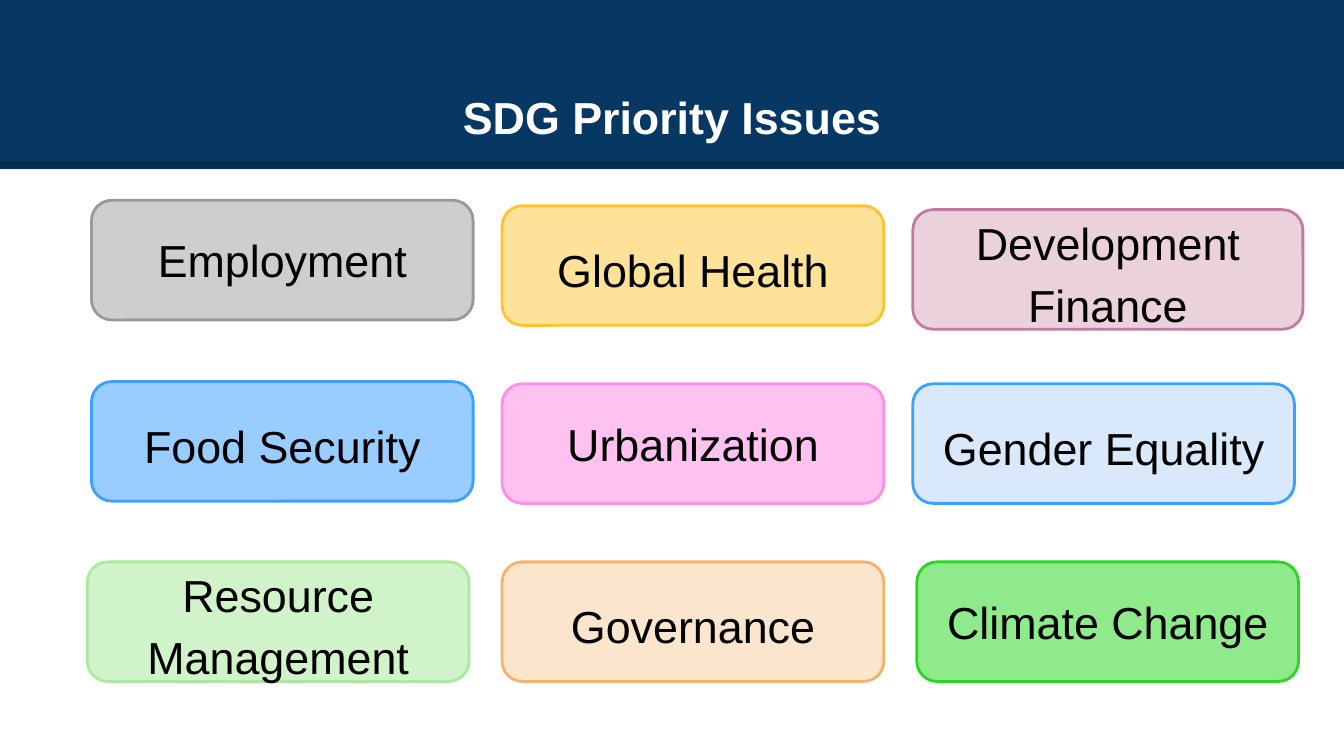
from pptx import Presentation
from pptx.dml.color import RGBColor
from pptx.enum.shapes import MSO_CONNECTOR, MSO_SHAPE
from pptx.enum.text import MSO_ANCHOR, MSO_AUTO_SIZE, PP_ALIGN
from pptx.oxml.ns import qn
from pptx.util import Pt
from lxml import etree

RECTANGLE = MSO_SHAPE.RECTANGLE
ROUNDED = MSO_SHAPE.ROUNDED_RECTANGLE
STRAIGHT = MSO_CONNECTOR.STRAIGHT
MIDDLE, BOTTOM = MSO_ANCHOR.MIDDLE, MSO_ANCHOR.BOTTOM
CENTER = PP_ALIGN.CENTER
NO_AUTOFIT = MSO_AUTO_SIZE.NONE
TITLE_ONLY = 5

WIDTH, HEIGHT = 720, 405
COLORS = {
    "navy": "073763", "white": "FFFFFF", "black": "000000",
    "gray": "999999", "yellow": "FFC32D", "mauve": "C27BA0",
    "pale mauve": "EAD1DC", "blue": "3CA0FF", "pale blue": "BBD7F8",
    "pink": "FF8FE4", "mint": "ABEA9E", "orange": "F6B26B",
    "pale orange": "FCE5CD", "green": "29D722",
}

GRID_LEFT, GRID_TOP = 49, 110.2
COLUMN_STEP, ROW_STEP = 220, 95.4
TILE_WIDTH, TILE_HEIGHT = 204.5, 64.1

# Each row of tiles: label, fill, fill opacity in percent, outline,
# line spacing, shift from the grid (x, y), extra width
ISSUES = [
    [
        ("Employment", "gray", 48, "gray", 1, (0, -2.9), 0),
        ("Global Health", "yellow", 48, "yellow", 1.15, (0, 0), 0),
        ("Development Finance", "pale mauve", 100, "mauve", 1.15, (0, 2.1), 4.5),
    ],
    [
        ("Food Security", "blue", 52, "blue", 1.15, (0, -1.2), 0),
        ("Urbanization", "pink", 55, "pink", 1, (0, 0), 0),
        ("Gender Equality", "pale blue", 55, "blue", 1.15, (0, 0), 0),
    ],
    [
        ("Resource Management", "mint", 55, "mint", 1.15, (-2.2, 0), 0),
        ("Governance", "pale orange", 100, "orange", 1.15, (0, 0), 0),
        ("Climate Change", "green", 52, "green", 1, (2.2, 0), 0),
    ],
]


def rgb(name):
    return RGBColor.from_string(COLORS[name])


def set_opacity(shape, percent):
    """Make the first solid colour of the shape, fill or line, see-through."""
    color = next(shape.element.spPr.iter(qn("a:srgbClr")))
    etree.SubElement(color, qn("a:alpha")).set("val", str(percent * 1000))


class SlideBuilder:
    font = "Arial"
    size = 24
    inset = 7.2
    outline = 1.5

    def __init__(self, page):
        self.page = page

    def add_text(self, shape, text, color, anchor, bold=False, spacing=1):
        frame = shape.text_frame
        frame.word_wrap = True
        frame.auto_size = NO_AUTOFIT
        frame.vertical_anchor = anchor
        frame.margin_left = frame.margin_right = Pt(self.inset)
        frame.margin_top = frame.margin_bottom = Pt(self.inset)
        para = frame.paragraphs[0]
        para.alignment = CENTER
        para.line_spacing = spacing
        para.space_before = Pt(0)
        span = para.add_run()
        span.text = text
        span.font.name = self.font
        span.font.size = Pt(self.size)
        span.font.bold = bold
        span.font.color.rgb = rgb(color)

    def title(self, text, left, top, width, height):
        box = self.page.shapes.title
        box.left, box.top = Pt(left), Pt(top)
        box.width, box.height = Pt(width), Pt(height)
        self.add_text(box, text, "white", BOTTOM, bold=True)

    def box(self, kind, left, top, width, height, fill):
        box = self.page.shapes.add_shape(
            kind, Pt(left), Pt(top), Pt(width), Pt(height))
        box.shadow.inherit = False
        box.fill.solid()
        box.fill.fore_color.rgb = rgb(fill)
        return box

    def header(self, height, edge):
        """Draw the band and its darker edge behind the title."""
        band = self.box(RECTANGLE, 0, 0, WIDTH, height, "navy")
        band.line.fill.background()
        rule = self.page.shapes.add_connector(
            STRAIGHT, Pt(0), Pt(edge), Pt(WIDTH), Pt(edge))
        rule.line.width = Pt(4.5)
        rule.line.color.rgb = rgb("black")
        set_opacity(rule, 15)
        etree.SubElement(rule.element.spPr, qn("a:effectLst"))
        for shape in (band, rule):
            self.page.shapes.title.element.addprevious(shape.element)

    def tile(self, row, column, label, fill, opacity, outline, spacing,
             shift, extra_width):
        left = GRID_LEFT + column * COLUMN_STEP + shift[0]
        top = GRID_TOP + row * ROW_STEP + shift[1]
        tile = self.box(ROUNDED, left, top, TILE_WIDTH + extra_width,
                        TILE_HEIGHT, fill)
        tile.adjustments[0] = 0.17
        if opacity < 100:
            set_opacity(tile, opacity)
        tile.line.color.rgb = rgb(outline)
        tile.line.width = Pt(self.outline)
        self.add_text(tile, label, "black", MIDDLE, spacing=spacing)


def main():
    deck = Presentation()
    deck.slide_width, deck.slide_height = Pt(WIDTH), Pt(HEIGHT)
    page = deck.slides.add_slide(deck.slide_layouts[TITLE_ONLY])
    builder = SlideBuilder(page)
    builder.header(90.5, 88.5)
    builder.title("SDG Priority Issues", 36, 16.5, 648, 67.5)
    for row, issues in enumerate(ISSUES):
        for column, issue in enumerate(issues):
            builder.tile(row, column, *issue)
    deck.save("out.pptx")


if __name__ == "__main__":
    main()
